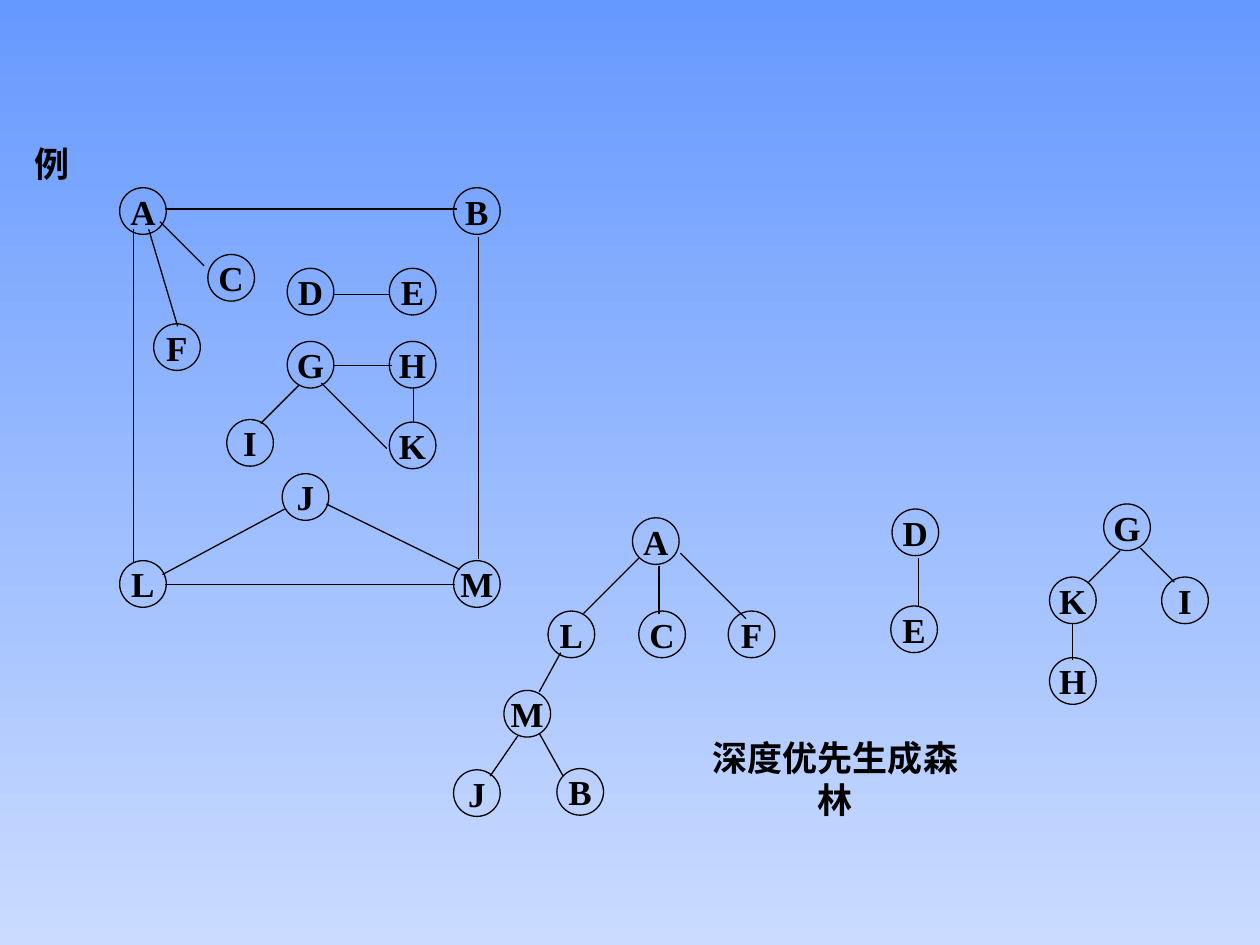
from typing import NamedTuple

from lxml.etree import SubElement
from pptx import Presentation
from pptx.dml.color import RGBColor
from pptx.enum.shapes import MSO_CONNECTOR, MSO_SHAPE
from pptx.enum.text import MSO_ANCHOR, MSO_AUTO_SIZE, PP_ALIGN
from pptx.oxml.ns import qn
from pptx.shapes.shapetree import GroupShapes
from pptx.text.text import TextFrame
from pptx.util import Inches, Pt

COLORS = {"sky": "6699FF", "pale": "CADBFF", "ink": "000000"}
FONT = "Times New Roman"
DIAMETER = 0.37


class Node(NamedTuple):
    name: str
    x: float
    y: float


class Edge(NamedTuple):
    x1: float
    y1: float
    x2: float
    y2: float


class Label(NamedTuple):
    text: str
    x: float
    y: float
    w: float
    h: float


class Diagram(NamedTuple):
    label: Label
    nodes: list[Node]
    edges: list[Edge]


GRAPH = Diagram(
    Label("例", 0.17, 1.08, 0.48, 0.44),
    [
        Node("A", 0.95, 1.49), Node("B", 3.6, 1.49),
        Node("L", 0.95, 4.45), Node("M", 3.6, 4.45),
        Node("C", 1.65, 2.02), Node("F", 1.22, 2.57),
        Node("D", 2.28, 2.13), Node("E", 3.09, 2.13),
        Node("G", 2.28, 2.71), Node("H", 3.09, 2.71),
        Node("K", 3.09, 3.35), Node("I", 1.8, 3.33),
        Node("J", 2.24, 3.76),
    ],
    [
        Edge(2.64, 2.34, 3.09, 2.34), Edge(2.64, 2.9, 3.11, 2.9),
        Edge(3.28, 3.07, 3.28, 3.34), Edge(2.55, 3.04, 3.07, 3.56),
        Edge(2.37, 3.06, 2.07, 3.36), Edge(1.27, 1.76, 1.62, 2.11),
        Edge(1.18, 1.82, 1.41, 2.59), Edge(1.31, 1.66, 3.63, 1.66),
        Edge(1.06, 1.82, 1.06, 4.46), Edge(1.31, 4.64, 3.61, 4.64),
        Edge(3.8, 1.88, 3.8, 4.44), Edge(1.29, 4.56, 2.26, 4.04),
        Edge(2.59, 4, 3.65, 4.52),
    ],
)

FOREST = Diagram(
    Label("深度优先生成森林", 5.42, 5.96, 2.42, 0.44),
    [
        Node("A", 5.02, 4.11), Node("B", 4.42, 6.1),
        Node("L", 4.35, 4.85), Node("M", 4, 5.48),
        Node("C", 5.07, 4.85), Node("F", 5.78, 4.85),
        Node("J", 3.6, 6.11), Node("D", 7.08, 4.04),
        Node("E", 7.07, 4.81), Node("G", 8.76, 4),
        Node("H", 8.33, 5.22), Node("K", 8.33, 4.58),
        Node("I", 9.22, 4.58),
    ],
    [
        Edge(5.23, 4.49, 5.23, 4.87), Edge(5.07, 4.43, 4.63, 4.87),
        Edge(5.4, 4.39, 5.92, 4.91), Edge(4.45, 5.18, 4.28, 5.49),
        Edge(4.11, 5.84, 3.89, 6.16), Edge(4.28, 5.82, 4.47, 6.16),
        Edge(7.29, 4.43, 7.29, 4.81), Edge(8.89, 4.37, 8.64, 4.62),
        Edge(8.51, 4.95, 8.51, 5.24), Edge(9.05, 4.35, 9.32, 4.62),
    ],
)


def rgb(name: str) -> RGBColor:
    return RGBColor.from_string(COLORS[name])


def write(tf: TextFrame, text: str) -> None:
    tf.word_wrap = False
    tf.vertical_anchor = MSO_ANCHOR.MIDDLE
    p = tf.paragraphs[0]
    p.alignment = PP_ALIGN.CENTER
    r = p.add_run()
    r.text = text
    r.font.name = FONT
    r.font.size = Pt(20)
    r.font.bold = True
    r.font.color.rgb = rgb("ink")


def draw_label(shapes: GroupShapes, label: Label) -> None:
    sp = shapes.add_textbox(*map(Inches, label[1:]))
    write(sp.text_frame, label.text)
    sp.text_frame.auto_size = MSO_AUTO_SIZE.SHAPE_TO_FIT_TEXT


def draw_node(shapes: GroupShapes, node: Node) -> None:
    box = map(Inches, (node.x, node.y, DIAMETER, DIAMETER))
    sp = shapes.add_shape(MSO_SHAPE.OVAL, *box)
    sp.shadow.inherit = False
    sp.fill.background()
    sp.line.color.rgb = rgb("ink")
    sp.line.width = Pt(0.75)
    write(sp.text_frame, node.name)


def draw_edge(shapes: GroupShapes, edge: Edge) -> None:
    cxn = shapes.add_connector(MSO_CONNECTOR.STRAIGHT, *map(Inches, edge))
    cxn.line.color.rgb = rgb("ink")
    cxn.line.width = Pt(0.75)
    SubElement(cxn._element.spPr, qn("a:effectLst"))


def draw_diagram(shapes: GroupShapes, diagram: Diagram) -> None:
    draw_label(shapes, diagram.label)
    for node in diagram.nodes:
        draw_node(shapes, node)
    for edge in diagram.edges:
        draw_edge(shapes, edge)


def main() -> None:
    """Build the slide of a graph and its depth-first spanning forest."""
    prs = Presentation()
    prs.slide_width, prs.slide_height = Inches(10), Inches(7.5)
    s = prs.slides.add_slide(prs.slide_layouts[6])
    fill = s.background.fill
    fill.gradient()
    fill.gradient_angle = 270
    for stop, name in zip(fill.gradient_stops, ("sky", "pale")):
        stop.color.rgb = rgb(name)
    for diagram in (GRAPH, FOREST):
        draw_diagram(s.shapes.add_group_shape().shapes, diagram)
    prs.save("out.pptx")


if __name__ == "__main__":
    main()
